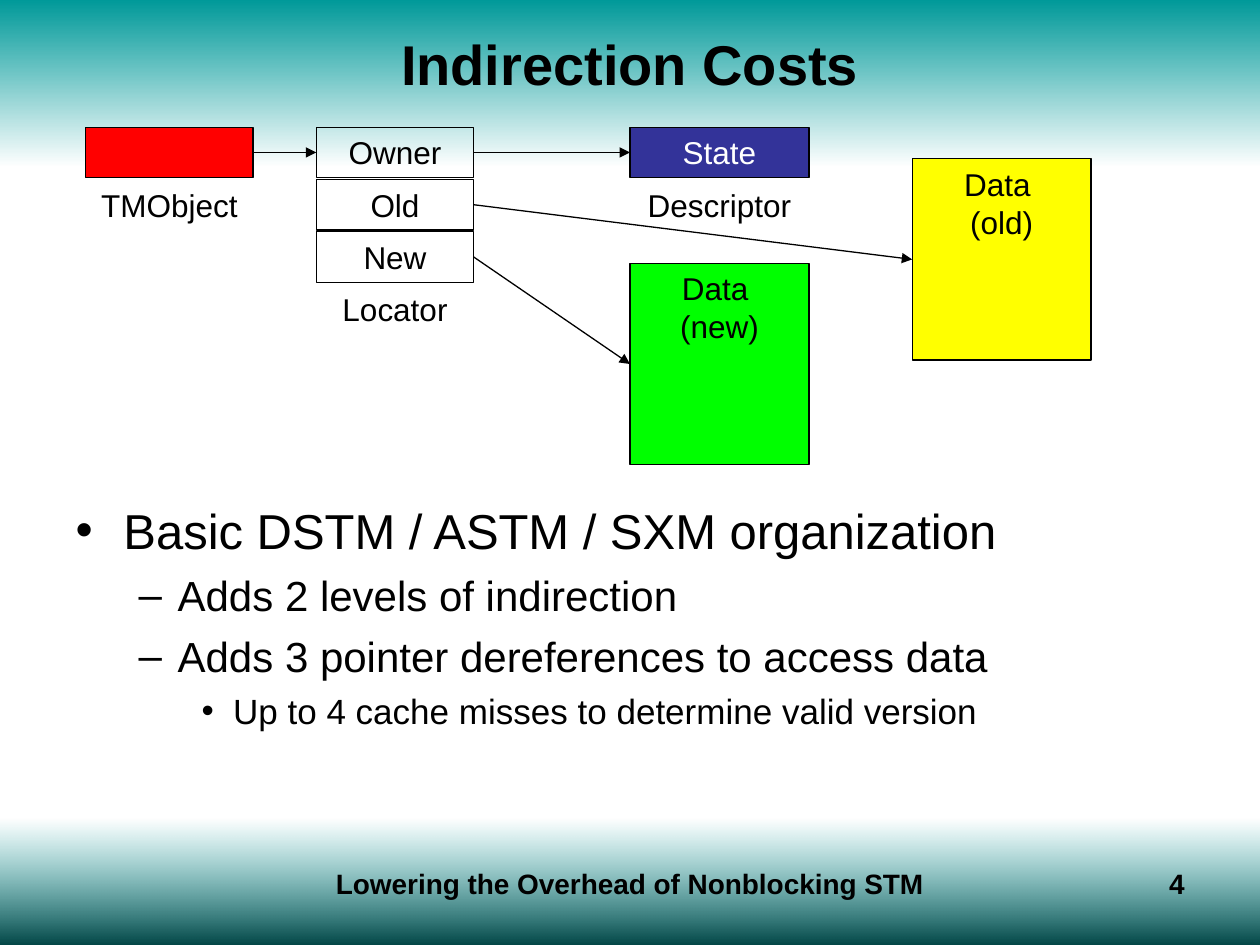
from lxml import etree
from pptx import Presentation
from pptx import util as u
from pptx.dml import color
from pptx.enum import shapes, text
from pptx.oxml import ns

ROW_PITCH = 0.415
ROW_HEIGHT = 0.4
DATA_HEIGHT = 1.6
COLUMNS = {
    "object": (0, 1.33),
    "locator": (1.83, 1.25),
    "descriptor": (4.32, 1.42),
    "data": (6.56, 1.42),
}
BULLETS = [
    (0, "Basic DSTM / ASTM / SXM organization"),
    (1, "Adds 2 levels of indirection"),
    (1, "Adds 3 pointer dereferences to access data"),
    (2, "Up to 4 cache misses to determine valid version"),
]
LEVELS = [
    ("•", 28, 0.38, 0.38, 7),
    ("–", 24, 0.81, 0.31, 6),
    ("•", 20, 1.25, 0.25, 5),
]


def rgb(value):
    return color.RGBColor.from_string(value)


def inches(box):
    return [u.Inches(length) for length in box]


def add_child(parent, tag, **attributes):
    return etree.SubElement(parent, ns.qn(tag), attributes)


def style(para, size, ink="000000", bold=False, align=None):
    para.font.name = "Arial"
    para.font.size = u.Pt(size)
    para.font.bold = bold
    para.font.color.rgb = rgb(ink)
    para.alignment = align


def write(frame, lines, size, ink="000000", bold=False,
          align=text.PP_ALIGN.CENTER, anchor=text.MSO_ANCHOR.TOP):
    frame.word_wrap = True
    frame.vertical_anchor = anchor
    frame.text = lines
    for para in frame.paragraphs:
        style(para, size, ink, bold, align)


def add_label(page, box, words, size=18, **options):
    label = page.shapes.add_textbox(*inches(box))
    write(label.text_frame, words, size, **options)


def add_band(page, box, top, bottom, clear_top=False):
    band = page.shapes.add_shape(shapes.MSO_SHAPE.RECTANGLE, *inches(box))
    band.shadow.inherit = False
    band.line.fill.background()
    band.fill.gradient()
    band.fill.gradient_angle = 270
    for stop, position, value in zip(band.fill.gradient_stops, (0, 1), (top, bottom)):
        stop.position = position
        stop.color.rgb = rgb(value)
    if clear_top:
        first = next(band._element.iter(ns.qn("a:srgbClr")))
        add_child(first, "a:alpha", val="0")
    page.shapes.title._element.addprevious(band._element)


def add_node(page, box, words="", fill=None, ink="000000"):
    node = page.shapes.add_shape(shapes.MSO_SHAPE.RECTANGLE, *inches(box))
    node.shadow.inherit = False
    if fill:
        node.fill.solid()
        node.fill.fore_color.rgb = rgb(fill)
    else:
        node.fill.background()
    node.line.color.rgb = rgb("000000")
    node.line.width = u.Pt(0.75)
    if words:
        write(node.text_frame, words, 18, ink)
    return node


def add_arrow(page, source, target):
    arrow = page.shapes.add_connector(shapes.MSO_CONNECTOR.STRAIGHT, 0, 0, 0, 0)
    arrow.begin_connect(source, 3)
    arrow.end_connect(target, 1)
    arrow.line.color.rgb = rgb("000000")
    arrow.line.width = u.Pt(0.75)
    add_child(arrow.line._get_or_add_ln(), "a:tailEnd", type="triangle")
    add_child(arrow._element.spPr, "a:effectLst")


def add_title(page, box, words):
    title = page.shapes.title
    title.left, title.top, title.width, title.height = inches(box)
    write(title.text_frame, words, 32, bold=True, anchor=text.MSO_ANCHOR.MIDDLE)


def add_diagram(page, left, top):
    def cell(column, row, height=ROW_HEIGHT):
        offset, width = COLUMNS[column]
        return left + offset, top + row * ROW_PITCH, width, height

    new_data = add_node(page, cell("descriptor", 2.6, DATA_HEIGHT), "Data \n(new)", "00FF00")
    old_data = add_node(page, cell("data", 0.6, DATA_HEIGHT), "Data \n(old)", "FFFF00")
    tm_object = add_node(page, cell("object", 0), fill="FF0000")
    owner, old, new = [add_node(page, cell("locator", row), name)
                       for row, name in enumerate(("Owner", "Old", "New"))]
    state = add_node(page, cell("descriptor", 0), "State", "333399", "FFFFFF")

    for column, row, name in (("object", 1, "TMObject"), ("locator", 3, "Locator"),
                              ("descriptor", 1, "Descriptor")):
        add_label(page, cell(column, row), name)
    for source, target in ((tm_object, owner), (owner, state),
                           (old, old_data), (new, new_data)):
        add_arrow(page, source, target)


def add_bullets(page, box):
    body = page.placeholders[1]
    body.left, body.top, body.width, body.height = inches(box)
    frame = body.text_frame
    frame.auto_size = text.MSO_AUTO_SIZE.NONE
    frame.text = "\n".join(words for level, words in BULLETS)
    for index, (para, (level, words)) in enumerate(zip(frame.paragraphs, BULLETS)):
        mark, size, margin, hang, before = LEVELS[level]
        para.level = level
        para.space_before = u.Pt(before if index else 0)
        properties = para._p.get_or_add_pPr()
        properties.set("marL", str(u.Inches(margin)))
        properties.set("indent", str(-u.Inches(hang)))
        add_child(properties, "a:buFont", typeface="Arial")
        add_child(properties, "a:buChar", char=mark)
        style(para, size)


def add_footer(page, left, top, width, height):
    add_label(page, (left + 0.2 * width, top, 0.6 * width, height),
              "Lowering the Overhead of Nonblocking STM", 16, bold=True)
    add_label(page, (left + 0.75 * width, top, 0.25 * width, height),
              "4", 16, bold=True, align=text.PP_ALIGN.RIGHT)


def main():
    deck = Presentation()
    deck.slide_width, deck.slide_height = inches((10, 7.5))
    page = deck.slides.add_slide(deck.slide_layouts[1])
    add_band(page, (0, 0, 10, 1.33), "009999", "FFFFFF")
    add_band(page, (0, 6.5, 10, 1), "009999", "004646", clear_top=True)
    add_title(page, (0, 0, 10, 1), "Indirection Costs")
    add_diagram(page, 0.68, 1.01)
    add_bullets(page, (0.5, 3.92, 9.06, 2.78))
    add_footer(page, 0.5, 6.83, 9, 0.52)
    deck.save("out.pptx")


if __name__ == "__main__":
    main()
